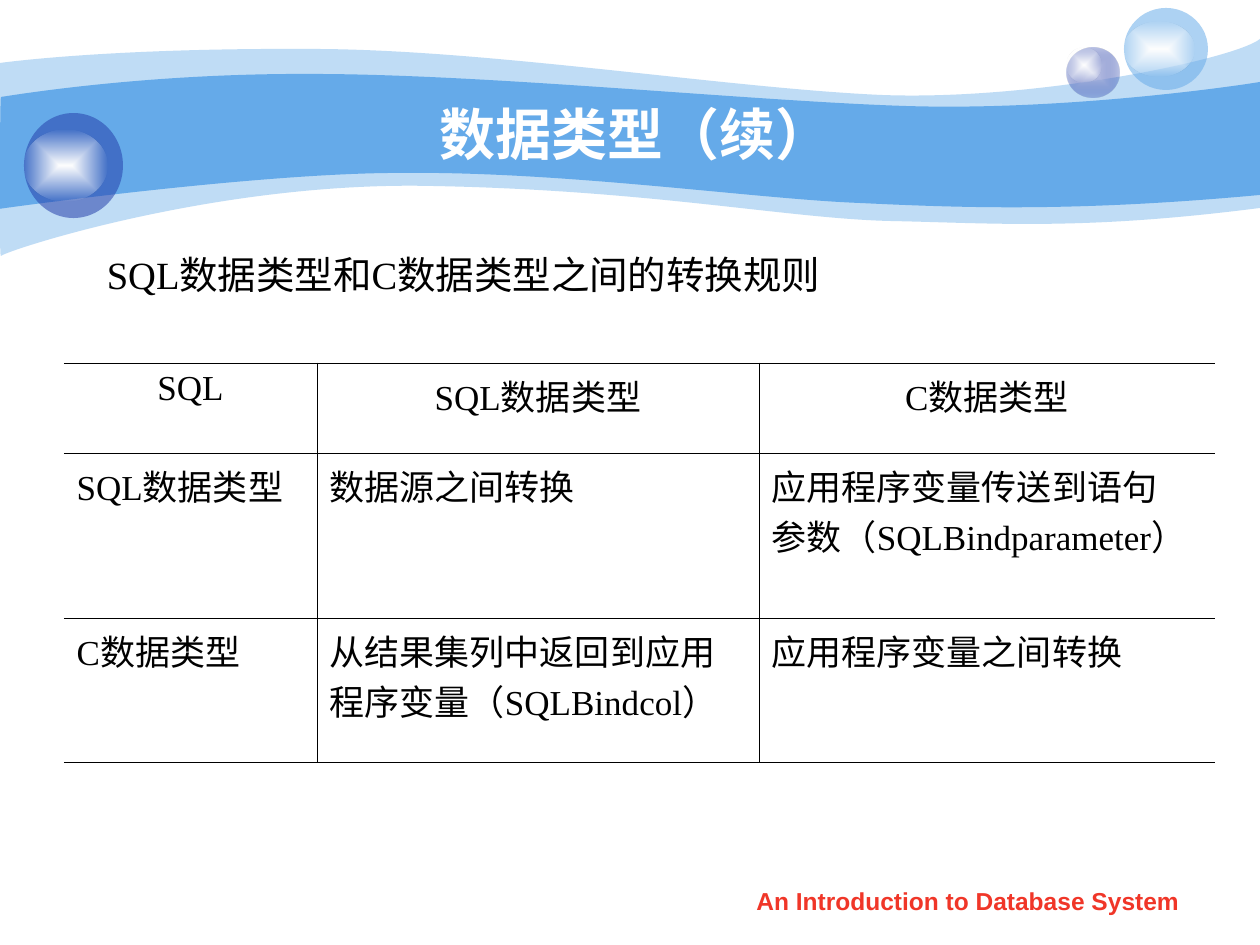
from lxml import etree
from pptx import Presentation
from pptx.dml.color import RGBColor
from pptx.enum import shapes, text
from pptx.oxml.ns import qn
from pptx.util import Pt

WIDTH, HEIGHT = 1260, 945
PX = 9144000 / WIDTH
HANGING = 48
COLORS = {"sky": "65AAE9", "navy": "233DA9", "lilac": "C6CCE8", "white": "FFFFFF",
          "clear": "FEFEFE", "black": "000000", "red": "F03628"}
TITLE = {"name": "Arial", "size": Pt(32), "bold": True}
SUBTITLE = {"name": "Times New Roman", "size": Pt(22)}
CELL = {"name": "Times New Roman", "size": Pt(20)}
FOOTER = {"name": "Arial", "size": Pt(14), "bold": True}

# Each wave: upper edge left to right, then lower edge right to left;
# an edge is a start point followed by Bezier triples.
OUTER_WAVE = [
    [(0, 63), (30, 59), (135, 48), (311, 49), (486, 49), (725, 88), (881, 95),
     (1036, 101), (1235, 59), (1260, 39)],
    [(1260, 208), (1081, 231), (992, 223), (888, 221), (784, 218), (649, 190), (432, 186),
     (217, 181), (5, 251), (1, 256), (-1, 262), (0, 95), (0, 63)]]
INNER_WAVE = [
    [(1, 97), (3, 97), (139, 73), (312, 74), (486, 74), (750, 101), (905, 106),
     (1060, 111), (1230, 87), (1260, 82)],
    [(1260, 195), (1075, 212), (964, 208), (859, 203), (755, 199), (563, 171), (399, 173),
     (256, 173), (-3, 209), (-1, 209), (0, 209), (0, 97), (1, 97)]]

ROWS = [["SQL", "SQL数据类型", "C数据类型"],
        ["SQL数据类型", "数据源之间转换", "应用程序变量传送到语句\n参数（SQLBindparameter）"],
        ["C数据类型", "从结果集列中返回到应用\n程序变量（SQLBindcol）", "应用程序变量之间转换"]]


def px(*values):
    return [round(value * PX) for value in values]


def rgb(name):
    return RGBColor.from_string(COLORS[name])


def set_alpha(shape, color, percent):
    for element in shape._element.spPr.iter(qn("a:srgbClr")):
        if element.get("val") == COLORS[color]:
            etree.SubElement(element, qn("a:alpha"), val=str(percent * 1000))


def paint(shape, color, alpha=100, center=None):
    """Solid fill, or a gradient from the center colour out to the edge."""
    shape.shadow.inherit = False
    shape.line.fill.background()
    if center:
        shape.fill.gradient()
        for stop, name, position in zip(shape.fill.gradient_stops, (center, color), (0, 1)):
            stop.color.rgb = rgb(name)
            stop.position = position
        gradient = shape._element.spPr.find(qn("a:gradFill"))
        gradient.remove(gradient.find(qn("a:lin")))
        focus = etree.SubElement(gradient, qn("a:path"), path="rect")
        etree.SubElement(focus, qn("a:fillToRect"), **dict.fromkeys("ltrb", "50000"))
    else:
        shape.fill.solid()
        shape.fill.fore_color.rgb = rgb(color)
    if alpha < 100:
        set_alpha(shape, color, alpha)


def bend(segments):
    """Turn each three line segments into one Bezier curve."""
    for i in range(0, len(segments), 3):
        curve = etree.Element(qn("a:cubicBezTo"))
        segments[i].addprevious(curve)
        for segment in segments[i:i + 3]:
            curve.append(segment[0])
            segment.getparent().remove(segment)


def add_wave(slide, edges, alpha):
    upper, lower = [[px(*point) for point in edge] for edge in edges]
    builder = slide.shapes.build_freeform(*upper[0])
    builder.add_line_segments(upper[1:] + lower, close=True)
    wave = builder.convert_to_shape()
    segments = list(wave._element.spPr.iter(qn("a:lnTo")))
    side = len(upper) - 1  # the straight segment joining the two edges
    bend(segments[:side])
    bend(segments[side + 1:side + len(lower)])
    paint(wave, "sky", alpha)


def add_bubble(slide, box, shine, color, alpha, center=None):
    """A ball with a highlight; shine is relative to the ball's corner."""
    left, top = box[:2]
    group = slide.shapes.add_group_shape()
    ball = group.shapes.add_shape(shapes.MSO_SHAPE.OVAL, *px(*box))
    paint(ball, color, alpha, center)
    dy, width, height = shine
    glow = group.shapes.add_shape(shapes.MSO_SHAPE.OVAL, *px(left, top + dy, width, height))
    paint(glow, "clear", 0, "white")


def write(frame, content, style, color, align, hanging=0):
    frame.text = content
    for paragraph in frame.paragraphs:
        paragraph.alignment = align
        if hanging:
            indent = px(hanging)[0]
            properties = paragraph._p.get_or_add_pPr()
            properties.set("marL", str(indent))
            properties.set("indent", str(-indent))
        for run in paragraph.runs:
            for name, value in style.items():
                setattr(run.font, name, value)
            run.font.color.rgb = rgb(color)


def place_title(slide, box):
    title = slide.shapes.title
    title.left, title.top, title.width, title.height = px(*box)
    slide.shapes._spTree.append(title._element)  # in front of the waves
    frame = title.text_frame
    frame.auto_size = text.MSO_AUTO_SIZE.NONE
    frame.vertical_anchor = text.MSO_ANCHOR.MIDDLE
    write(frame, "数据类型（续）", TITLE, "white", text.PP_ALIGN.CENTER)


def add_label(slide, box, content, style, color, wrap=True, hanging=0):
    frame = slide.shapes.add_textbox(*px(*box)).text_frame
    frame.word_wrap = wrap
    write(frame, content, style, color, text.PP_ALIGN.CENTER, hanging)


def set_borders(cell, visible):
    properties = cell._tc.get_or_add_tcPr()
    for side in "LRTB":
        line = etree.SubElement(properties, qn(f"a:ln{side}"), w=str(Pt(0.45)))
        if side in visible:
            fill = etree.SubElement(line, qn("a:solidFill"))
            etree.SubElement(fill, qn("a:srgbClr"), val=COLORS["black"])
        else:
            etree.SubElement(line, qn("a:noFill"))


def add_conversion_table(slide, left, top, widths, heights):
    table = slide.shapes.add_table(len(heights), len(widths),
                                   *px(left, top, sum(widths), sum(heights))).table
    table.first_row = table.horz_banding = False
    for column, width in zip(table.columns, px(*widths)):
        column.width = width
    for row, height in zip(table.rows, px(*heights)):
        row.height = height
    last = len(widths) - 1
    for r, row in enumerate(ROWS):
        for c, content in enumerate(row):
            cell = table.cell(r, c)
            # Horizontal rules everywhere, vertical ones only between columns
            set_borders(cell, "TB" + "L" * (c > 0) + "R" * (c < last))
            cell.fill.background()
            align = text.PP_ALIGN.LEFT if r else text.PP_ALIGN.CENTER
            write(cell.text_frame, content, CELL, "black", align, HANGING)


def main():
    presentation = Presentation()
    presentation.slide_width, presentation.slide_height = px(WIDTH, HEIGHT)
    slide = presentation.slides.add_slide(presentation.slide_layouts[5])

    # Banner
    add_wave(slide, OUTER_WAVE, 41)
    add_wave(slide, INNER_WAVE, 100)
    add_bubble(slide, (1067, 48, 53, 50), (0, 35, 34), "navy", 31, "lilac")
    add_bubble(slide, (1124, 8, 84, 82), (14, 70, 54), "sky", 53)
    add_bubble(slide, (24, 113, 99, 105), (17, 83, 71), "navy", 53)
    place_title(slide, (127, 94, 1018, 78))

    # Content
    add_conversion_table(slide, 64, 363, (253, 442, 456), (90, 144, 144))
    add_label(slide, (33, 245, 861, 59), "SQL数据类型和C数据类型之间的转换规则",
              SUBTITLE, "black", wrap=False, hanging=HANGING)

    # Footer
    add_label(slide, (720, 880, 496, 44), "An Introduction to Database System", FOOTER, "red")
    presentation.save("out.pptx")


if __name__ == "__main__":
    main()
